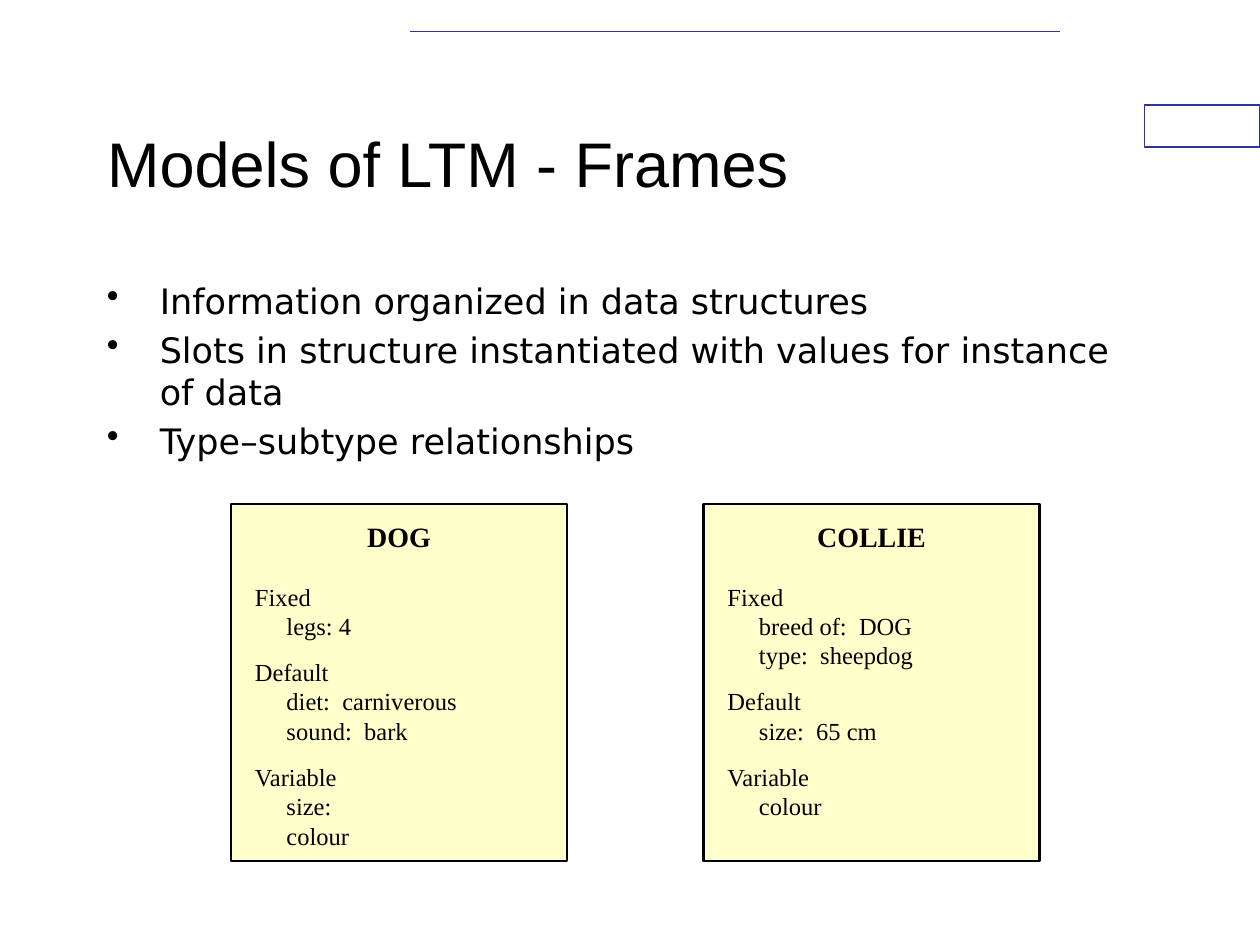
from dataclasses import dataclass

from lxml import etree
from pptx import Presentation
from pptx.dml.color import RGBColor
from pptx.enum.shapes import MSO_CONNECTOR, MSO_SHAPE
from pptx.enum.text import MSO_ANCHOR, PP_ALIGN
from pptx.oxml.ns import qn
from pptx.util import Inches, Pt

RECT, STRAIGHT = MSO_SHAPE.RECTANGLE, MSO_CONNECTOR.STRAIGHT
TOP, MIDDLE = MSO_ANCHOR.TOP, MSO_ANCHOR.MIDDLE
LEFT, CENTER = PP_ALIGN.LEFT, PP_ALIGN.CENTER


@dataclass(frozen=True)
class Theme:
    ink = RGBColor(0x00, 0x00, 0x00)
    accent = RGBColor(0x33, 0x33, 0x99)
    paper = RGBColor(0xFF, 0xFF, 0xFF)
    card = RGBColor(0xFF, 0xFF, 0xCC)
    title_font, body_font, card_font = "Arial", "DejaVu Sans", "Times New Roman"
    title_pt, body_pt, head_pt, slot_pt = 36, 20, 16, 14


TITLE = "Models of LTM - Frames"
BULLETS = [
    "Information organized in data structures",
    "Slots in structure instantiated with values for instance of data",
    "Type–subtype relationships",
]
FRAMES = [
    ("DOG", [
        ("Fixed", ["legs: 4"]),
        ("Default", ["diet:  carniverous", "sound:  bark"]),
        ("Variable", ["size:", "colour"]),
    ]),
    ("COLLIE", [
        ("Fixed", ["breed of:  DOG", "type:  sheepdog"]),
        ("Default", ["size:  65 cm"]),
        ("Variable", ["colour"]),
    ]),
]

# Slide grid: 12 columns by 9 rows
W, H = 10, 7.5
COL, ROW = W / 12, H / 9
MARGIN = 0.75
CARD_X, CARD_Y, CARD_W, CARD_H = 2.2 * COL, 4.8 * ROW, 3.2 * COL, 3.4 * ROW
CARD_STEP = 4.5 * COL
BULLET_INDENT, SLOT_INDENT = 0.42, 0.25


def inches(*values):
    return [Inches(v) for v in values]


def add_run(p, text, font, size, bold=False):
    r = p.add_run()
    r.text = text
    r.font.name, r.font.size, r.font.bold = font, Pt(size), bold
    r.font.color.rgb = Theme.ink


def add_box(slide, box, fill, line, width):
    sp = slide.shapes.add_shape(RECT, *inches(*box))
    sp.shadow.inherit = False
    sp.fill.solid()
    sp.fill.fore_color.rgb = fill
    sp.line.color.rgb = line
    sp.line.width = Pt(width)
    return sp


def add_decoration(slide):
    add_box(slide, (W - 1.1 * COL, ROW, 1.1 * COL, 0.4 * ROW), Theme.paper, Theme.accent, 0.75)
    y = 0.3 * ROW
    rule = slide.shapes.add_connector(STRAIGHT, *inches(3.9 * COL, y, 10.1 * COL, y))
    rule.line.color.rgb = Theme.accent
    rule.line.width = Pt(1)
    etree.SubElement(rule._element.spPr, qn("a:effectLst"))


def set_title(slide):
    sp = slide.shapes.title
    sp.left, sp.top, sp.width, sp.height = inches(MARGIN, 0.8 * ROW, 9 * COL, 1.5 * ROW)
    tf = sp.text_frame
    tf.vertical_anchor = MIDDLE
    p = tf.paragraphs[0]
    p.alignment = LEFT
    add_run(p, TITLE, Theme.title_font, Theme.title_pt)


def add_bullets(slide):
    sp = slide.shapes.add_textbox(*inches(MARGIN, 2.6 * ROW, W - 2 * MARGIN, 2.1 * ROW))
    tf = sp.text_frame
    tf.word_wrap = True
    for i, text in enumerate(BULLETS):
        p = tf.add_paragraph() if i else tf.paragraphs[0]
        pPr = p._p.get_or_add_pPr()
        pPr.set("marL", str(Inches(BULLET_INDENT)))
        pPr.set("indent", str(-Inches(BULLET_INDENT)))
        etree.SubElement(pPr, qn("a:buChar"), char="•")
        p.space_before = Pt(0.2 * Theme.body_pt if i else 0)
        add_run(p, text, Theme.body_font, Theme.body_pt)


def add_frame(slide, index, name, groups):
    """Draw one card: centred name, then groups of indented slots."""
    sp = add_box(slide, (CARD_X + index * CARD_STEP, CARD_Y, CARD_W, CARD_H),
                 Theme.card, Theme.ink, 1.5)
    tf = sp.text_frame
    tf.word_wrap = True
    tf.vertical_anchor = TOP
    tf.margin_left = tf.margin_right = Inches(0.19)
    tf.margin_top, tf.margin_bottom = Inches(0.12), 0
    p = tf.paragraphs[0]
    p.alignment = CENTER
    add_run(p, name, Theme.card_font, Theme.head_pt, bold=True)
    for g, (label, slots) in enumerate(groups):
        for s, text in enumerate([label, *slots]):
            p = tf.add_paragraph()
            p.alignment = LEFT
            if s:
                p._p.get_or_add_pPr().set("marL", str(Inches(SLOT_INDENT)))
            else:
                p.space_before = Pt(9.5 if g else 16.5)
            add_run(p, text, Theme.card_font, Theme.slot_pt)


def main():
    prs = Presentation()
    prs.slide_width, prs.slide_height = inches(W, H)
    slide = prs.slides.add_slide(prs.slide_layouts[5])
    add_decoration(slide)
    set_title(slide)
    add_bullets(slide)
    for i, (name, groups) in enumerate(FRAMES):
        add_frame(slide, i, name, groups)
    prs.save("out.pptx")


if __name__ == "__main__":
    main()
